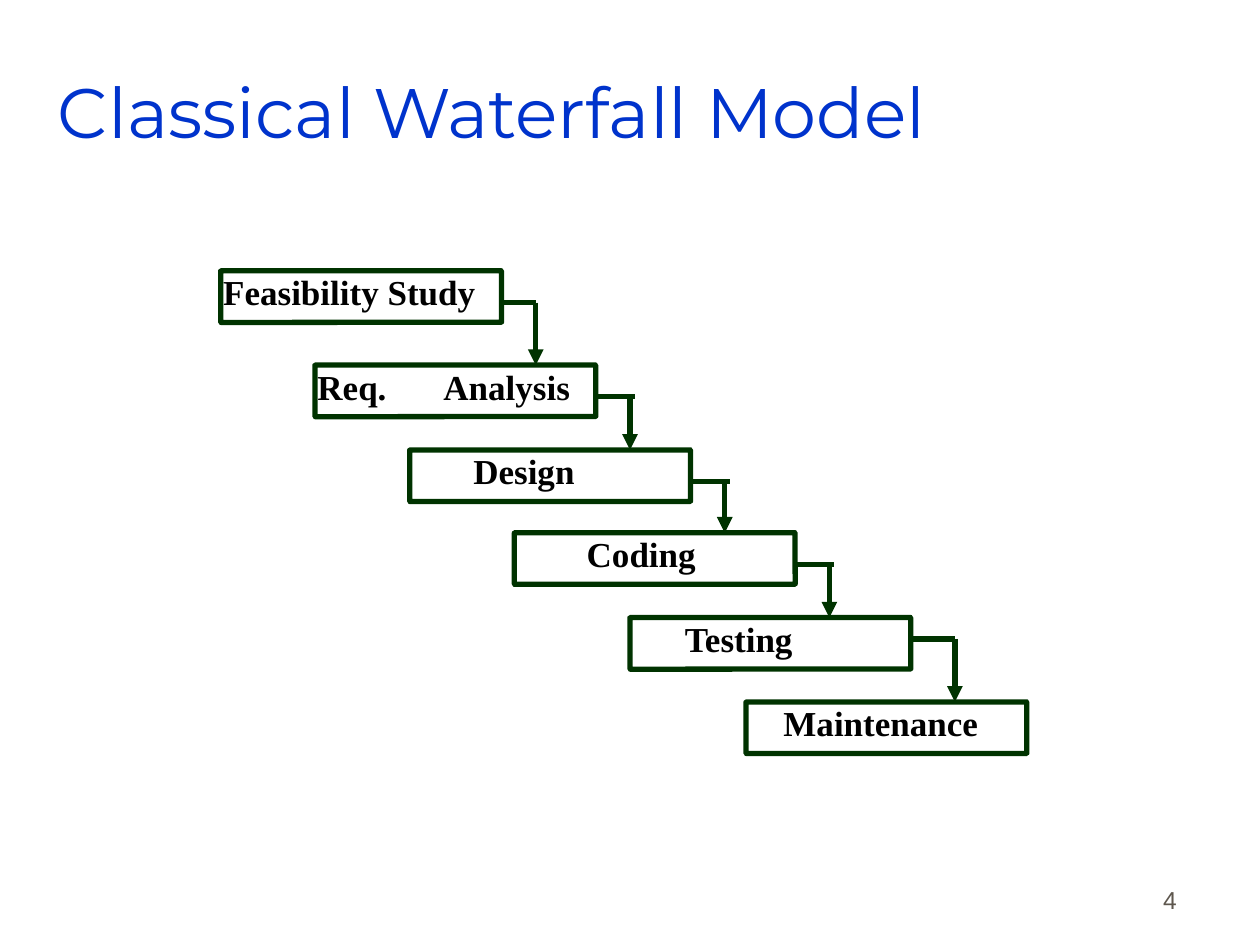
from lxml import etree
from pptx import Presentation
from pptx import util as u
from pptx.dml.color import RGBColor
from pptx.enum import shapes, text
from pptx.oxml import ns

COLORS = {"title": "0033CC", "step": "000000", "outline": "003300", "number": "5E574E"}
STEP_WIDTH, STEP_HEIGHT = 5.66, 1.04
LABEL_WIDTH, LABEL_HEIGHT = 5.92, 1.09
SPACE_WIDTH = 0.176
WORD_TAB = 1.9

# label, left, top (cm within the cascade), indent in space widths
STEPS = [
    ("Feasibility Study", 0, 0, 0),
    ("Req.\tAnalysis", 1.9, 1.9, 0),
    ("Design", 3.81, 3.61, 7),
    ("Coding", 5.92, 5.28, 8),
    ("Testing", 8.25, 6.99, 6),
    ("Maintenance", 10.59, 8.69, 4),
]
# corner right of and below the step's top left, overshoot past the corner
LINKS = [(6.35, 0.64, 0)] + [(6.35, 0.64, 0.1)] * 3 + [(6.55, 0.43, 0)]


def set_all(target, values):
    for name, value in values.items():
        setattr(target, name, value)


def add_label(slide, box, words, font, side_inset=0.05,
              anchor=text.MSO_ANCHOR.TOP, **paragraph_format):
    label = slide.shapes.add_textbox(*map(u.Cm, box))
    set_all(label.text_frame, {
        "word_wrap": True,
        "vertical_anchor": anchor,
        "margin_left": u.Cm(side_inset),
        "margin_right": u.Cm(side_inset),
        "margin_top": u.Cm(0.13),
        "margin_bottom": u.Cm(0.13),
    })
    paragraph = label.text_frame.paragraphs[0]
    set_all(paragraph, paragraph_format)
    run = paragraph.add_run()
    run.text = words
    color = font.pop("color")
    set_all(run.font, font)
    run.font.color.rgb = RGBColor.from_string(COLORS[color])
    return paragraph


def indent(paragraph, left):
    """Set the left margin and the tab stop between words."""
    properties = paragraph._p.get_or_add_pPr()
    properties.set("marL", str(u.Cm(left)))
    properties.set("indent", "0")
    tabs = etree.SubElement(properties, ns.qn("a:tabLst"))
    etree.SubElement(tabs, ns.qn("a:tab"), pos=str(u.Cm(WORD_TAB)), algn="l")


def style_outline(line):
    line.color.rgb = RGBColor.from_string(COLORS["outline"])
    line.width = u.Pt(3)


def add_line(slide, start, end, arrow=False):
    connector = slide.shapes.add_connector(
        shapes.MSO_CONNECTOR.STRAIGHT, *map(u.Cm, (*start, *end)))
    style_outline(connector.line)
    if arrow:
        etree.SubElement(connector.line._get_or_add_ln(), ns.qn("a:tailEnd"),
                         type="triangle")
    etree.SubElement(connector._element.spPr, ns.qn("a:effectLst"))


def add_step(slide, left, top, words, spaces):
    font = {"name": "Times New Roman", "size": u.Pt(20), "bold": True, "color": "step"}
    paragraph = add_label(slide, (left, top, LABEL_WIDTH, LABEL_HEIGHT), words, font,
                          line_spacing=0.85)
    indent(paragraph, spaces * SPACE_WIDTH)
    frame = slide.shapes.add_shape(
        shapes.MSO_SHAPE.ROUNDED_RECTANGLE,
        *map(u.Cm, (left, top, STEP_WIDTH, STEP_HEIGHT)))
    frame.adjustments[0] = 0.004
    frame.shadow.inherit = False
    frame.fill.background()
    style_outline(frame.line)


def add_cascade(slide, left, top):
    """Draw the steps, then an arrow from each step down to the next."""
    for words, x, y, spaces in STEPS:
        add_step(slide, left + x, top + y, words, spaces)
    for (_, x, y, _), following, (across, down, overshoot) in zip(STEPS, STEPS[1:], LINKS):
        corner_x, corner_y = left + x + across, top + y + down
        add_line(slide, (left + x + STEP_WIDTH, corner_y), (corner_x + overshoot, corner_y))
        add_line(slide, (corner_x, corner_y), (corner_x, top + following[2]), arrow=True)


def add_title(slide, box):
    font = {"name": "Montserrat", "size": u.Pt(40), "color": "title"}
    add_label(slide, box, "Classical Waterfall Model", font,
              anchor=text.MSO_ANCHOR.MIDDLE)


def add_slide_number(slide, box):
    font = {"name": "Arial", "size": u.Pt(14), "color": "number"}
    add_label(slide, box, "4", font, side_inset=0.25,
              anchor=text.MSO_ANCHOR.BOTTOM, alignment=text.PP_ALIGN.RIGHT)


def main():
    deck = Presentation()
    set_all(deck, {"slide_width": u.Cm(25.4), "slide_height": u.Cm(19.05)})
    slide = deck.slides.add_slide(deck.slide_layouts[6])
    add_slide_number(slide, (18.69, 17.3, 5.28, 1.27))
    add_title(slide, (1.12, 0.64, 21.59, 3.18))
    add_cascade(slide, 4.45, 5.46)
    deck.save("out.pptx")


if __name__ == "__main__":
    main()
